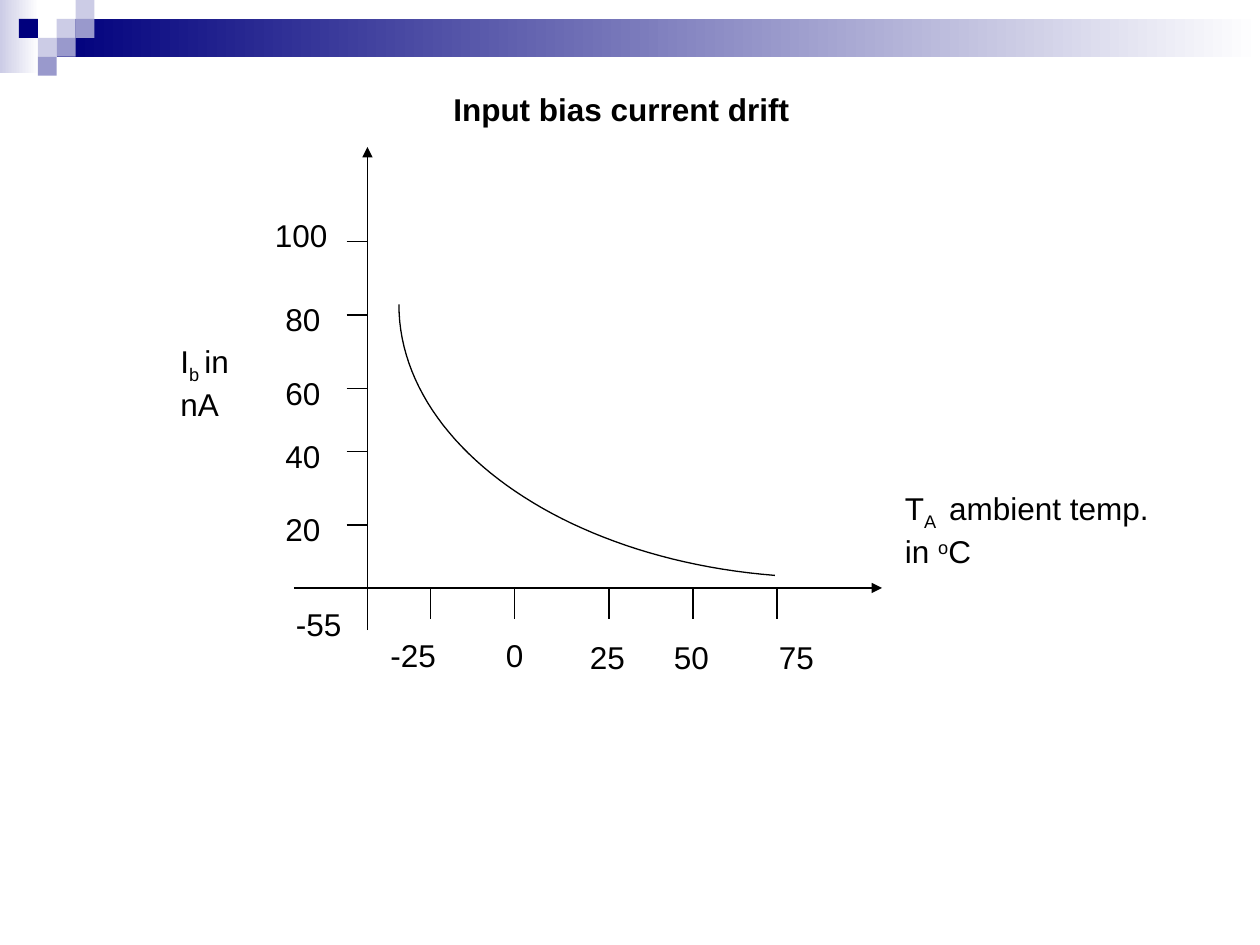
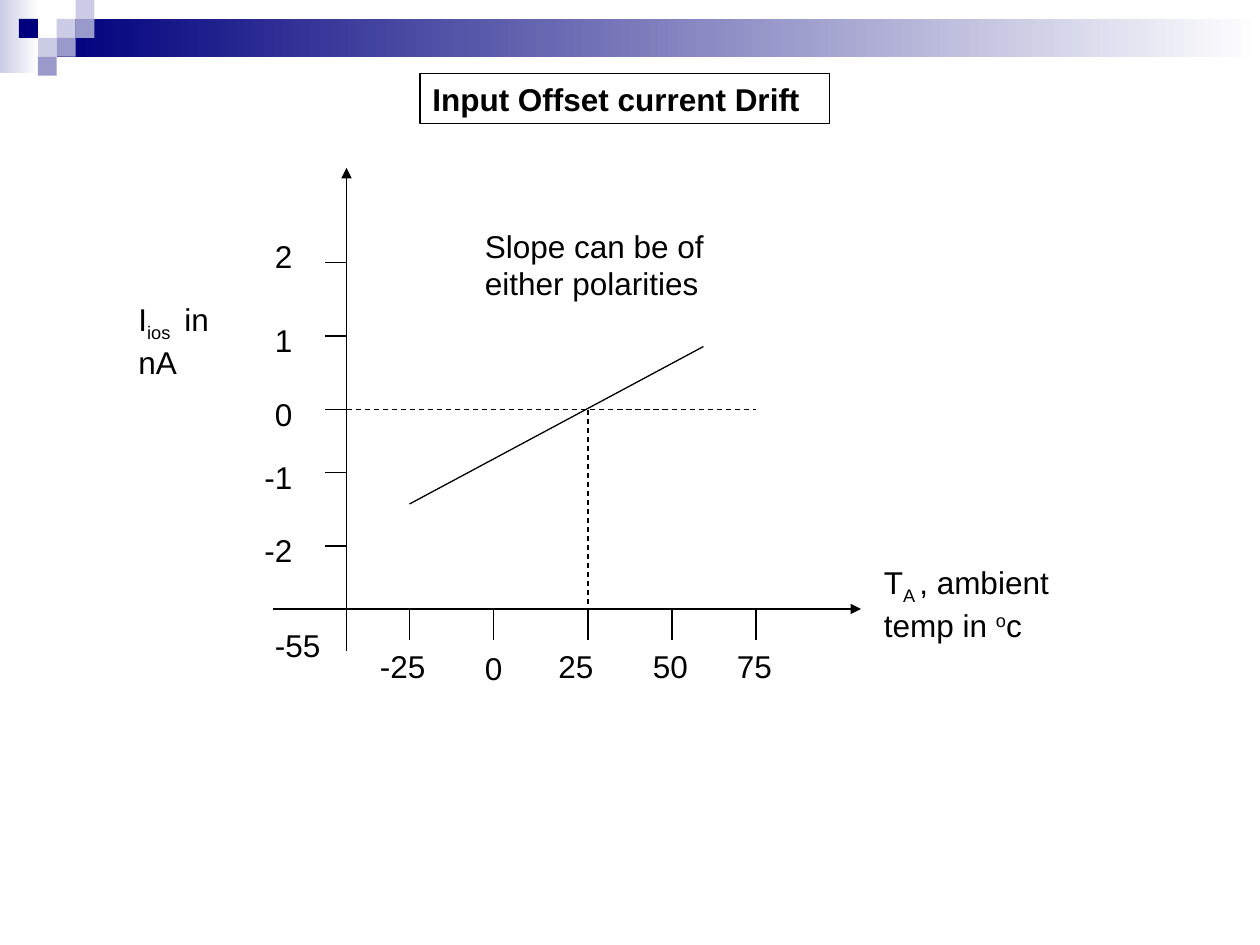
"""Two slides of op-amp drift graphs: input bias current and input offset current."""
from dataclasses import dataclass
from typing import NamedTuple

from lxml import etree
from pptx import Presentation
from pptx import util as u
from pptx.dml.color import RGBColor
from pptx.enum import dml, shapes, text
from pptx.oxml.ns import qn

PX = 7620


@dataclass(frozen=True)
class Theme:
    font: str = "Arial"
    size: int = 18
    space_before: float = 11.2
    line_width: float = 0.75
    ink: str = "000000"
    navy: str = "00007D"
    mid: str = "9999CC"
    light: str = "CCCCE6"
    white: str = "FFFFFF"


THEME = Theme()


class Box(NamedTuple):
    x: int
    y: int
    w: int
    h: int = 48


class Point(NamedTuple):
    x: int
    y: int


class Piece(NamedTuple):
    text: str
    baseline: int = 0


class Label(NamedTuple):
    box: Box
    pieces: tuple[Piece, ...]
    bold: bool = False
    outlined: bool = False


class Segment(NamedTuple):
    start: Point
    end: Point
    arrow: bool = False
    dashed: bool = False


class Square(NamedTuple):
    col: int
    row: int
    color: str


class Tick(NamedTuple):
    text: str
    dx: int
    dy: int
    w: int


@dataclass(frozen=True)
class Graph:
    origin: Point
    y_ticks: tuple[Tick, ...]
    x_ticks: tuple[Tick, ...]
    labels: tuple[Label, ...]
    segments: tuple[Segment, ...] = ()
    curve: tuple[Point, ...] = ()


SQUARE_SIDE = 18
SQUARES = (
    Square(3, 1, THEME.light), Square(4, 0, THEME.light), Square(4, 1, THEME.mid),
    Square(2, 2, THEME.light), Square(1, 1, THEME.navy), Square(3, 2, THEME.mid),
    Square(2, 3, THEME.mid),
)
Y_TICK_OFFSETS = (-330, -260, -190, -130, -60)
X_TICK_OFFSETS = (60, 140, 230, 310, 390)
Y_LABEL_TOPS = (-360, -280, -210, -150, -80)
ORIGIN_TICK = Tick("-55", -80, 10, 80)


def y_ticks(*items: tuple[str, int, int]) -> tuple[Tick, ...]:
    """Pair each (text, dx, width) with its height beside the vertical axis."""
    return tuple(Tick(t, dx, dy, w) for (t, dx, w), dy in zip(items, Y_LABEL_TOPS))


def x_ticks(*items: tuple[int, int]) -> tuple[Tick, ...]:
    """Pair each (dx, dy) with its temperature under the horizontal axis."""
    return tuple(Tick(t, dx, dy, 80)
                 for t, (dx, dy) in zip(("-25", "0", "25", "50", "75"), items))


BIAS = Graph(
    origin=Point(350, 560),
    y_ticks=y_ticks(("100", -100, 80), ("80", -90, 60), ("60", -90, 60),
                    ("40", -90, 60), ("20", -90, 60)),
    x_ticks=x_ticks((10, 40), (120, 40), (200, 42), (280, 42), (380, 42)),
    labels=(
        Label(Box(420, 80, 350), (Piece("Input bias current drift"),), bold=True),
        Label(Box(850, 460, 260, 88), (
            Piece("T"), Piece("A ", -25), Piece(" ambient temp. in "),
            Piece("o", 30), Piece("C"))),
        Label(Box(160, 320, 100, 88), (Piece("I"), Piece("b ", -25), Piece("in nA"))),
    ),
    curve=(Point(380, 290), Point(380, 421), Point(534, 532), Point(738, 548)),
)

OFFSET = Graph(
    origin=Point(330, 580),
    y_ticks=y_ticks(("2", -80, 60), ("1", -80, 60), ("0", -80, 60),
                    ("-1", -90, 60), ("-2", -90, 60)),
    x_ticks=x_ticks((20, 30), (120, 32), (190, 30), (280, 30), (360, 30)),
    labels=(
        Label(Box(830, 530, 250, 88), (
            Piece("T"), Piece("A ", -25), Piece(", ambient temp in "),
            Piece("o", 30), Piece("c"))),
        Label(Box(450, 210, 270, 84), (Piece("Slope can be of either polarities"),)),
        Label(Box(120, 280, 100, 88), (Piece("I"), Piece("ios ", -25), Piece(" in nA"))),
        Label(Box(400, 70, 390), (Piece("Input Offset current Drift"),),
              bold=True, outlined=True),
    ),
    segments=(
        Segment(Point(390, 480), Point(670, 330)),
        Segment(Point(330, 390), Point(720, 390), dashed=True),
        Segment(Point(560, 390), Point(560, 580), dashed=True),
    ),
)


def emu(*lengths: int) -> list[u.Emu]:
    """Turn px lengths into EMU."""
    return [u.Emu(n * PX) for n in lengths]


def rgb(color: str) -> RGBColor:
    """Turn a hex string into a colour."""
    return RGBColor.from_string(color)


def style_line(line) -> None:
    """Give a line the shared ink and width."""
    line.color.rgb = rgb(THEME.ink)
    line.width = u.Pt(THEME.line_width)


def draw_rect(s, box: Box, *colors: str) -> None:
    """Draw a borderless rectangle, solid or fading across two colours."""
    sp = s.shapes.add_shape(shapes.MSO_SHAPE.RECTANGLE, *emu(*box))
    sp.shadow.inherit = False
    sp.line.fill.background()
    if len(colors) == 1:
        sp.fill.solid()
        sp.fill.fore_color.rgb = rgb(colors[0])
        return
    sp.fill.gradient()
    sp.fill.gradient_angle = 0
    for stop, color in zip(sp.fill.gradient_stops, colors):
        stop.color.rgb = rgb(color)


def draw_header(s) -> None:
    """Draw the fading band and the squares shared by all slides."""
    draw_rect(s, Box(0, 0, 37, 70), THEME.light, THEME.white)
    draw_rect(s, Box(54, 18, 1146, 36), THEME.navy, THEME.white)
    for sq in SQUARES:
        draw_rect(s, Box(sq.col * SQUARE_SIDE, sq.row * SQUARE_SIDE,
                         SQUARE_SIDE, SQUARE_SIDE), sq.color)


def draw_label(s, label: Label) -> None:
    """Draw a text box, with raised or lowered pieces where given."""
    sp = s.shapes.add_textbox(*emu(*label.box))
    if label.outlined:
        style_line(sp.line)
    tf = sp.text_frame
    tf.word_wrap = True
    tf.auto_size = text.MSO_AUTO_SIZE.SHAPE_TO_FIT_TEXT
    p = tf.paragraphs[0]
    p.space_before = u.Pt(THEME.space_before)
    for piece in label.pieces:
        r = p.add_run()
        r.text = piece.text
        if piece.baseline:
            r._r.get_or_add_rPr().set("baseline", str(piece.baseline * 1000))
    for font in (p.font, *(r.font for r in p.runs)):
        font.name = THEME.font
        font.size = u.Pt(THEME.size)
        font.bold = label.bold
        font.color.rgb = rgb(THEME.ink)


def draw_segment(s, seg: Segment) -> None:
    """Draw a straight line, dashed or with an arrowhead where asked."""
    c = s.shapes.add_connector(shapes.MSO_CONNECTOR.STRAIGHT, *emu(*seg.start, *seg.end))
    style_line(c.line)
    if seg.dashed:
        c.line.dash_style = dml.MSO_LINE.DASH
    sp_pr = c._element.spPr
    if seg.arrow:
        etree.SubElement(sp_pr.find(qn("a:ln")), qn("a:tailEnd"), type="triangle")
    etree.SubElement(sp_pr, qn("a:effectLst"))


def draw_curve(s, control: tuple[Point, ...], steps: int = 48) -> None:
    """Draw a cubic Bezier curve as an open outline."""
    points = []
    for i in range(steps + 1):
        t = i / steps
        weights = ((1 - t) ** 3, 3 * t * (1 - t) ** 2, 3 * t ** 2 * (1 - t), t ** 3)
        points.append(tuple(round(PX * sum(w * pt[axis] for w, pt in zip(weights, control)))
                            for axis in (0, 1)))
    builder = s.shapes.build_freeform(*points[0])
    builder.add_line_segments(points[1:], close=False)
    sp = builder.convert_to_shape()
    sp.shadow.inherit = False
    sp.fill.background()
    style_line(sp.line)


def draw_axes(s, graph: Graph) -> None:
    """Draw both axes with their tick marks and tick labels."""
    x, y = graph.origin
    draw_segment(s, Segment(Point(x, y + 40), Point(x, y - 420), arrow=True))
    draw_segment(s, Segment(Point(x - 70, y), Point(x + 490, y), arrow=True))
    for dy in Y_TICK_OFFSETS:
        draw_segment(s, Segment(Point(x - 20, y + dy), Point(x, y + dy)))
    for dx in X_TICK_OFFSETS:
        draw_segment(s, Segment(Point(x + dx, y), Point(x + dx, y + 30)))
    for tick in (*graph.y_ticks, ORIGIN_TICK, *graph.x_ticks):
        draw_label(s, Label(Box(x + tick.dx, y + tick.dy, tick.w), (Piece(tick.text),)))


def draw_graph(prs, graph: Graph) -> None:
    """Add one slide that holds the header and a graph."""
    s = prs.slides.add_slide(prs.slide_layouts[6])
    draw_header(s)
    draw_axes(s, graph)
    for seg in graph.segments:
        draw_segment(s, seg)
    if graph.curve:
        draw_curve(s, graph.curve)
    for label in graph.labels:
        draw_label(s, label)


def main() -> None:
    """Build and save the presentation."""
    prs = Presentation()
    prs.slide_width, prs.slide_height = emu(1200, 900)
    for graph in (BIAS, OFFSET):
        draw_graph(prs, graph)
    prs.save("out.pptx")


if __name__ == "__main__":
    main()
